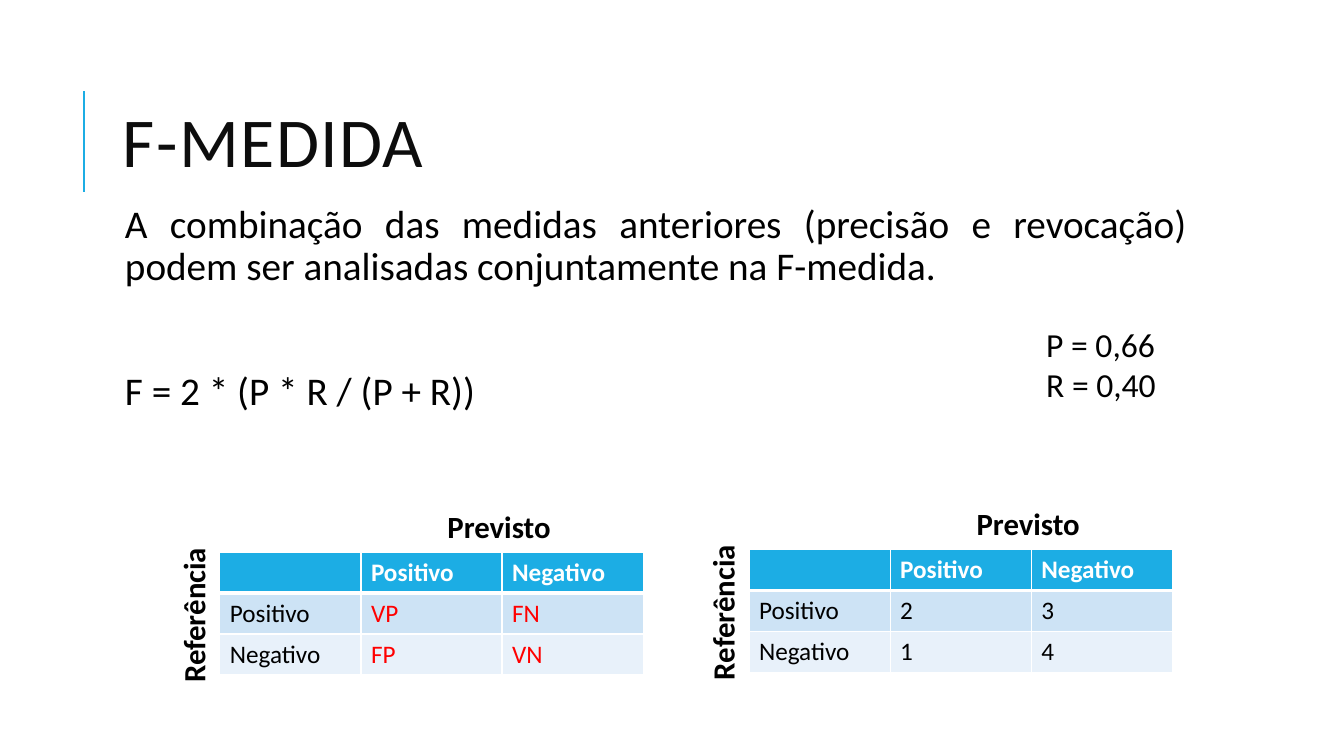
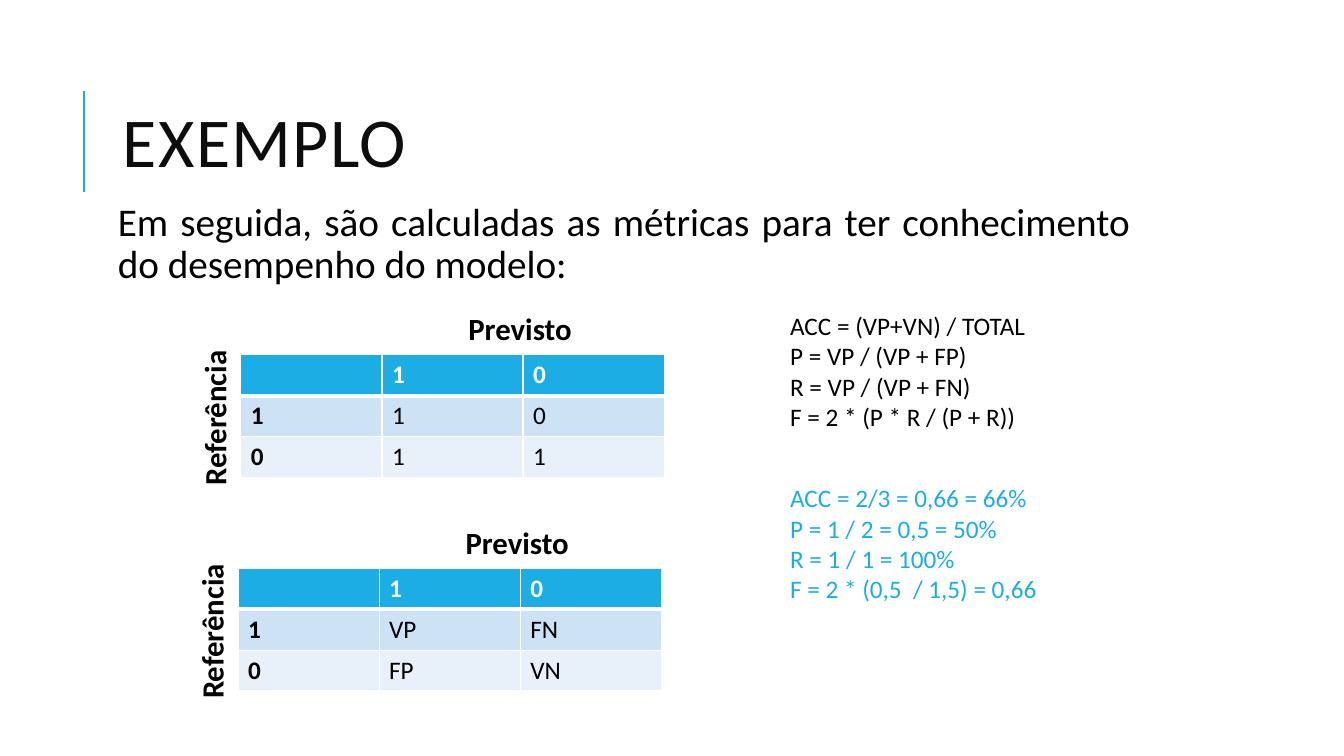
from dataclasses import dataclass

from lxml.etree import SubElement
from pptx import Presentation
from pptx.dml.color import RGBColor
from pptx.enum.shapes import MSO_CONNECTOR
from pptx.enum.text import MSO_ANCHOR, MSO_AUTO_SIZE, PP_ALIGN
from pptx.oxml import parse_xml
from pptx.oxml.ns import nsdecls, qn
from pptx.presentation import Presentation as Deck
from pptx.shapes.base import BaseShape
from pptx.slide import Slide
from pptx.table import _Cell as Cell
from pptx.text.text import TextFrame
from pptx.util import Pt

ACCENT = RGBColor(0x1C, 0xAD, 0xE4)
TITLE_INK = RGBColor(0x0D, 0x0D, 0x0D)
BLACK = RGBColor(0, 0, 0)
WHITE = RGBColor(0xFF, 0xFF, 0xFF)
RED = RGBColor(0xFF, 0, 0)
ROW_FILLS = (ACCENT, RGBColor(0xCD, 0xE3, 0xF5), RGBColor(0xE8, 0xF1, 0xFA))

FONT = "Calibri"
COLUMN_WIDTH = 100.8
ROW_HEIGHT = 29.2
THIN, THICK = 1, 3


@dataclass(frozen=True)
class Area:
    """A rectangle in points."""
    left: float
    top: float
    width: float
    height: float


@dataclass(frozen=True)
class TextStyle:
    """The look shared by the paragraphs of one box."""
    size: float
    color: RGBColor = BLACK
    bold: bool = False
    align: PP_ALIGN = PP_ALIGN.LEFT
    line_spacing: float | None = None
    before: float = 0
    after: float = 0


@dataclass(frozen=True)
class Matrix:
    """A confusion matrix with its two axis labels."""
    left: float
    top: float
    classes: tuple[str, str]
    counts: tuple[tuple[str, str], tuple[str, str]]
    count_color: RGBColor = BLACK
    bold_classes: bool = False


TITLE = TextStyle(50, TITLE_INK, line_spacing=0.8)
BODY = TextStyle(28, align=PP_ALIGN.JUSTIFY, line_spacing=0.9, before=12, after=2)
AXIS = TextStyle(22, bold=True, align=PP_ALIGN.CENTER)
SCORES = TextStyle(24)
FORMULAS = TextStyle(18, align=PP_ALIGN.JUSTIFY)
RESULTS = TextStyle(18, ACCENT, align=PP_ALIGN.JUSTIFY)

TITLE_AREA = Area(80.64, 46.08, 765.36, 118.08)
OUTCOMES = (("VP", "FN"), ("FP", "VN"))


def place(shape: BaseShape, area: Area) -> None:
    """Move and size a shape."""
    shape.left, shape.top = Pt(area.left), Pt(area.top)
    shape.width, shape.height = Pt(area.width), Pt(area.height)


def write(frame: TextFrame, lines: list[str], style: TextStyle) -> None:
    """Fill a text frame with one styled paragraph per line."""
    for index, line in enumerate(lines):
        para = frame.paragraphs[0] if index == 0 else frame.add_paragraph()
        para.text = line
        para.alignment = style.align
        para.line_spacing = style.line_spacing
        para.space_before, para.space_after = Pt(style.before), Pt(style.after)
        para.font.name, para.font.size = FONT, Pt(style.size)
        para.font.bold, para.font.color.rgb = style.bold, style.color


def add_text(page: Slide, area: Area, lines: list[str], style: TextStyle) -> BaseShape:
    """Add a wrapping text box."""
    box = page.shapes.add_textbox(0, 0, 0, 0)
    place(box, area)
    box.text_frame.word_wrap = True
    write(box.text_frame, lines, style)
    return box


def add_body(page: Slide, area: Area, lines: list[str]) -> TextFrame:
    """Add the justified main text."""
    frame = add_text(page, area, lines, BODY).text_frame
    frame.margin_left = frame.margin_right = Pt(3.6)
    frame.margin_top = frame.margin_bottom = Pt(3.6)
    return frame


def add_page(deck: Deck, title: str) -> Slide:
    """Add a page with its title and the accent rule beside it."""
    page = deck.slides.add_slide(deck.slide_layouts[5])
    rule = page.shapes.add_connector(
        MSO_CONNECTOR.STRAIGHT, Pt(60), Pt(136.8), Pt(60), Pt(64.8))
    rule.line.color.rgb, rule.line.width = ACCENT, Pt(1.5)
    SubElement(rule._element.spPr, qn("a:effectLst"))

    heading = page.shapes.title
    place(heading, TITLE_AREA)
    frame = heading.text_frame
    frame.word_wrap, frame.auto_size = True, MSO_AUTO_SIZE.NONE
    frame.vertical_anchor = MSO_ANCHOR.MIDDLE
    write(frame, [title], TITLE)
    for span in frame.paragraphs[0].runs:
        span._r.get_or_add_rPr().set("spc", "100")
    return page


def set_borders(cell: Cell, top: int, bottom: int) -> None:
    """Draw white borders, with the given top and bottom widths."""
    properties = cell._tc.get_or_add_tcPr()
    widths = {"lnL": THIN, "lnR": THIN, "lnT": top, "lnB": bottom}
    for index, (side, width) in enumerate(widths.items()):
        properties.insert(index, parse_xml(
            f'<a:{side} {nsdecls("a")} w="{Pt(width)}"><a:solidFill>'
            f'<a:srgbClr val="{WHITE}"/></a:solidFill></a:{side}>'))


def cell_style(matrix: Matrix, row: int, column: int) -> TextStyle:
    """Choose the style of a header, class or count cell."""
    if row == 0:
        return TextStyle(18, WHITE, bold=True)
    if column == 0:
        return TextStyle(18, bold=matrix.bold_classes)
    return TextStyle(18, matrix.count_color)


def add_matrix(page: Slide, matrix: Matrix) -> None:
    """Add a confusion matrix and label both of its axes."""
    rows = [("", *matrix.classes)]
    rows += [(name, *counts) for name, counts in zip(matrix.classes, matrix.counts)]
    size = len(rows)
    table = page.shapes.add_table(
        size, size, Pt(matrix.left), Pt(matrix.top),
        Pt(COLUMN_WIDTH * size), Pt(ROW_HEIGHT * size)).table
    for column in table.columns:
        column.width = Pt(COLUMN_WIDTH)
    for row, values in enumerate(rows):
        table.rows[row].height = Pt(ROW_HEIGHT)
        for column, value in enumerate(values):
            cell = table.cell(row, column)
            cell.fill.solid()
            cell.fill.fore_color.rgb = ROW_FILLS[row]
            set_borders(cell, top=THICK if row == 1 else THIN,
                        bottom=THICK if row == 0 else THIN)
            write(cell.text_frame, [value], cell_style(matrix, row, column))

    add_text(page, Area(matrix.left + 104.4, matrix.top - 35.5, 190, 34),
             ["Previsto"], AXIS)
    reference = add_text(page, Area(matrix.left - 99.5, matrix.top + 28, 161.3, 34),
                         ["Referência"], AXIS)
    reference.rotation = 270


def add_f_measure(deck: Deck) -> None:
    """Build the page that defines the F-measure."""
    page = add_page(deck, "F-MEDIDA")
    body = add_body(page, Area(85.7, 142.5, 765.4, 332.6), [
        "A combinação das medidas anteriores (precisão e revocação) "
        "podem ser analisadas conjuntamente na F-medida.",
        "F = 2 * (P * R / (P + R))"])
    body.paragraphs[1].space_before = Pt(56.8)
    names = ("Positivo", "Negativo")
    add_matrix(page, Matrix(157, 394.5, names, OUTCOMES, count_color=RED))
    add_matrix(page, Matrix(535, 392.5, names, (("2", "3"), ("1", "4"))))
    add_text(page, Area(740.2, 227.5, 104.4, 65.5), ["P = 0,66", "R = 0,40"], SCORES)


def add_example(deck: Deck) -> None:
    """Build the page that works the metrics out."""
    page = add_page(deck, "EXEMPLO")
    add_body(page, Area(80.6, 141.1, 730.1, 382.3), [
        "Em seguida, são calculadas as métricas para ter conhecimento "
        "do desempenho do modelo:"])
    names = ("1", "0")
    add_matrix(page, Matrix(172, 253.5, names, (("1", "0"), ("1", "1")),
                            bold_classes=True))
    add_matrix(page, Matrix(170, 406, names, OUTCOMES, bold_classes=True))
    add_text(page, Area(557.3, 218.2, 308.9, 138.2), [
        "ACC = (VP+VN) / TOTAL",
        "P = VP / (VP + FP)",
        "R = VP / (VP + FN)",
        "F = 2 * (P * R / (P + R))"], FORMULAS)
    add_text(page, Area(557.3, 341.3, 308.9, 138.2), [
        "ACC = 2/3 = 0,66 = 66%",
        "P = 1 / 2 = 0,5 = 50%",
        "R = 1 / 1 = 100%",
        "F = 2 * (0,5  / 1,5) = 0,66"], RESULTS)


def main() -> None:
    """Build and save the deck."""
    deck = Presentation()
    deck.slide_width, deck.slide_height = Pt(960), Pt(540)
    add_f_measure(deck)
    add_example(deck)
    deck.save("out.pptx")


main()
